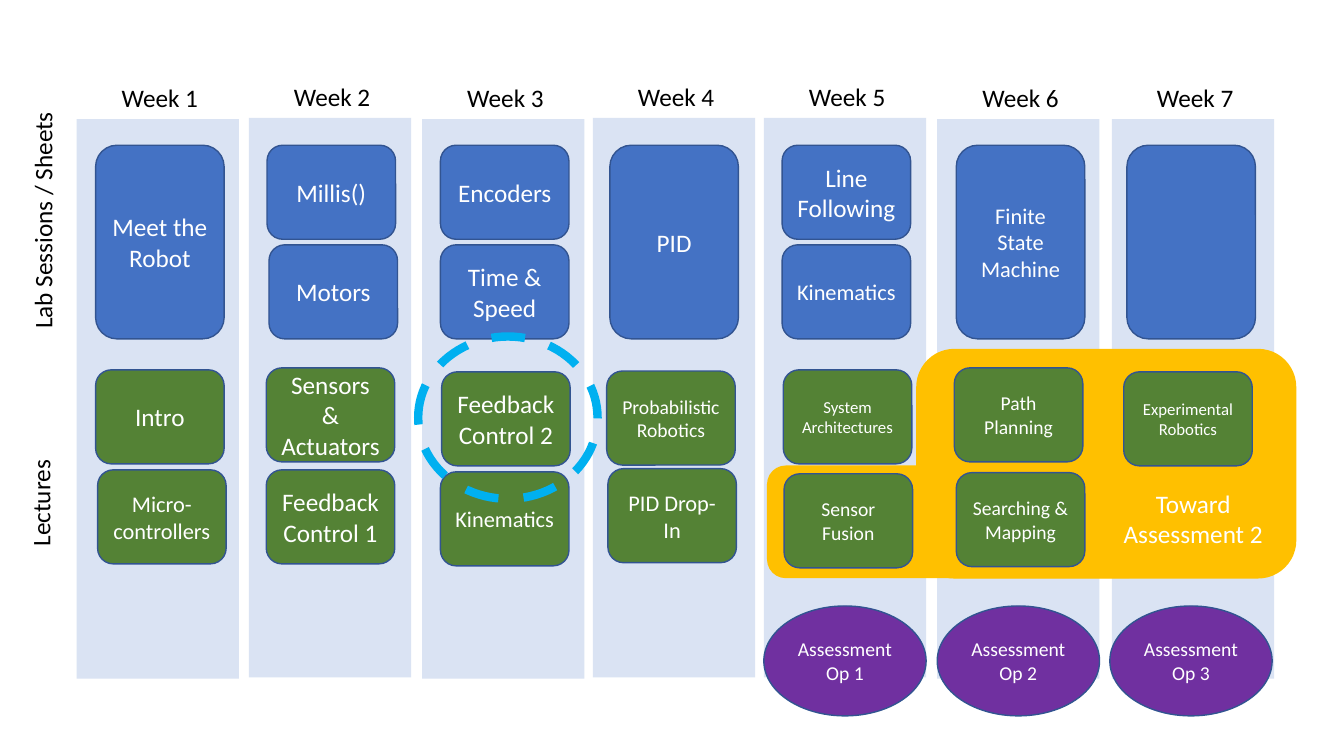
from pptx import Presentation
from pptx.dml.color import RGBColor
from pptx.enum.dml import MSO_LINE
from pptx.enum.shapes import MSO_SHAPE
from pptx.enum.text import MSO_ANCHOR, PP_ALIGN
from pptx.util import Cm, Pt

RECTANGLE = MSO_SHAPE.RECTANGLE
ROUNDED = MSO_SHAPE.ROUNDED_RECTANGLE
OVAL = MSO_SHAPE.OVAL
DASH = MSO_LINE.DASH
CENTER, LEFT = PP_ALIGN.CENTER, PP_ALIGN.LEFT
TOP, MIDDLE = MSO_ANCHOR.TOP, MSO_ANCHOR.MIDDLE

PALE_BLUE, BLUE, GREEN = "DAE3F3", "4472C4", "548235"
PURPLE, YELLOW, CYAN, OUTLINE = "7030A0", "FFC000", "00B0F0", "325491"
WHITE, BLACK = "FFFFFF", "000000"

COLUMN_WIDTH, COLUMN_HEIGHT = 4.09, 14.1
CARD_WIDTH, CARD_HEIGHT, TALL_HEIGHT = 3.24, 2.37, 4.88
LAB_ROW_1, LAB_ROW_2 = 3.66, 6.17


def add_box(shapes, kind, box, fill=None, line=None, line_width=1):
    """Add a shape at box (left, top, width, height in cm)."""
    shape = shapes.add_shape(kind, *[Cm(length) for length in box])
    shape.shadow.inherit = False
    if fill:
        shape.fill.solid()
        shape.fill.fore_color.rgb = RGBColor.from_string(fill)
    else:
        shape.fill.background()
    if line:
        shape.line.color.rgb = RGBColor.from_string(line)
        shape.line.width = Pt(line_width)
    else:
        shape.line.fill.background()
    return shape


def write(shape, lines, size, color=WHITE, align=CENTER, anchor=MIDDLE, wrap=True):
    frame = shape.text_frame
    frame.word_wrap = wrap
    frame.vertical_anchor = anchor
    for index, line in enumerate(lines):
        paragraph = frame.add_paragraph() if index else frame.paragraphs[0]
        paragraph.alignment = align
        run = paragraph.add_run()
        run.text = line
        run.font.name = "Calibri"
        run.font.size = Pt(size)
        run.font.color.rgb = RGBColor.from_string(color)


presentation = Presentation()
presentation.slide_width, presentation.slide_height = Cm(33.87), Cm(19.05)
slide = presentation.slides.add_slide(presentation.slide_layouts[6])
shapes = slide.shapes

# Week columns
columns = [(1.93, 3.0), (6.27, 2.97), (10.64, 3.0), (14.94, 2.97),
           (19.25, 2.97), (23.62, 3.0), (28.02, 3.0)]
for week, (left, top) in enumerate(columns, 1):
    add_box(shapes, RECTANGLE, (left, top, COLUMN_WIDTH, COLUMN_HEIGHT), PALE_BLUE)
    label = shapes.add_textbox(Cm(left + 0.26), Cm(top - 1.04), Cm(3.68), Cm(1.02))
    write(label, [f"Week {week}"], 18, BLACK, anchor=TOP)

# Row titles
for title, left, top in [("Lab Sessions / Sheets", 0.56, 1.45), ("Lectures", 0.51, 6.93)]:
    label = shapes.add_textbox(Cm(left), Cm(top), Cm(1.27), Cm(7.09))
    write(label, [title], 18, BLACK, LEFT, TOP)
    label.text_frame._txBody.bodyPr.set("vert", "vert270")

# Lab sessions: lines, left, top, height, text size
labs = [
    (["Meet the Robot"], 2.41, LAB_ROW_1, TALL_HEIGHT, 18),
    (["Millis()"], 6.73, LAB_ROW_1, CARD_HEIGHT, 18),
    (["Motors"], 6.78, LAB_ROW_2, CARD_HEIGHT, 18),
    (["Encoders"], 11.1, LAB_ROW_1, CARD_HEIGHT, 18),
    (["Time & Speed"], 11.1, LAB_ROW_2, CARD_HEIGHT, 18),
    (["PID"], 15.37, LAB_ROW_1, TALL_HEIGHT, 18),
    (["Line Following"], 19.71, LAB_ROW_1, CARD_HEIGHT, 18),
    (["Kinematics"], 19.71, LAB_ROW_2, CARD_HEIGHT, 16),
    (["Finite State Machine"], 24.1, LAB_ROW_1, TALL_HEIGHT, 16),
    ([], 28.4, LAB_ROW_1, TALL_HEIGHT, 18),
]
for lines, left, top, height, size in labs:
    card = add_box(shapes, ROUNDED, (left, top, CARD_WIDTH, height), BLUE, OUTLINE)
    write(card, lines, size)

# Assessment opportunities
for number, left in enumerate([19.25, 23.62, 27.97], 1):
    oval = add_box(shapes, OVAL, (left, 15.27, COLUMN_WIDTH, 2.77), PURPLE, OUTLINE)
    write(oval, [f"Assessment Op {number}"], 14)

# Lectures: lines, left, top, text size
lectures = [
    (["Intro"], 2.41, 9.32, 18),
    (["Micro-controllers"], 2.46, 11.84, 16),
    (["Sensors & Actuators"], 6.71, 9.27, 18),
    (["Feedback Control 1"], 6.71, 11.84, 18),
    (["Feedback Control 2"], 11.13, 9.37, 18),
    (["PID Drop-In"], 15.32, 11.81, 16),
    (["Kinematics"], 11.1, 11.89, 16),
    (["Probabilistic Robotics"], 15.29, 9.35, 14),
    (["System", "Architectures"], 19.74, 9.32, 12),
]
assessment_lectures = [
    (["Searching & Mapping"], 24.1, 11.91, 14),
    (["Path Planning"], 24.05, 9.27, 14),
    (["Sensor Fusion"], 19.76, 11.94, 14),
    (["Experimental Robotics"], 28.32, 9.37, 12),
]
for batch in (lectures, assessment_lectures):
    if batch is assessment_lectures:
        region = shapes.add_group_shape()
        add_box(region.shapes, ROUNDED, (23.09, 8.79, 9.58, 5.79), YELLOW)
        add_box(region.shapes, ROUNDED, (19.33, 11.73, 9.58, 2.84), YELLOW)
    for lines, left, top, size in batch:
        card = add_box(shapes, ROUNDED, (left, top, CARD_WIDTH, CARD_HEIGHT), GREEN, OUTLINE)
        write(card, lines, size)

label = shapes.add_textbox(Cm(28.04), Cm(12.17), Cm(4.06), Cm(1.8))
write(label, ["Toward", "Assessment 2"], 18, anchor=TOP, wrap=False)

# Highlight around Feedback Control 2
highlight = add_box(shapes, OVAL, (10.54, 8.48, 4.52, 4.09), line=CYAN, line_width=6)
highlight.line.dash_style = DASH

presentation.save("out.pptx")
